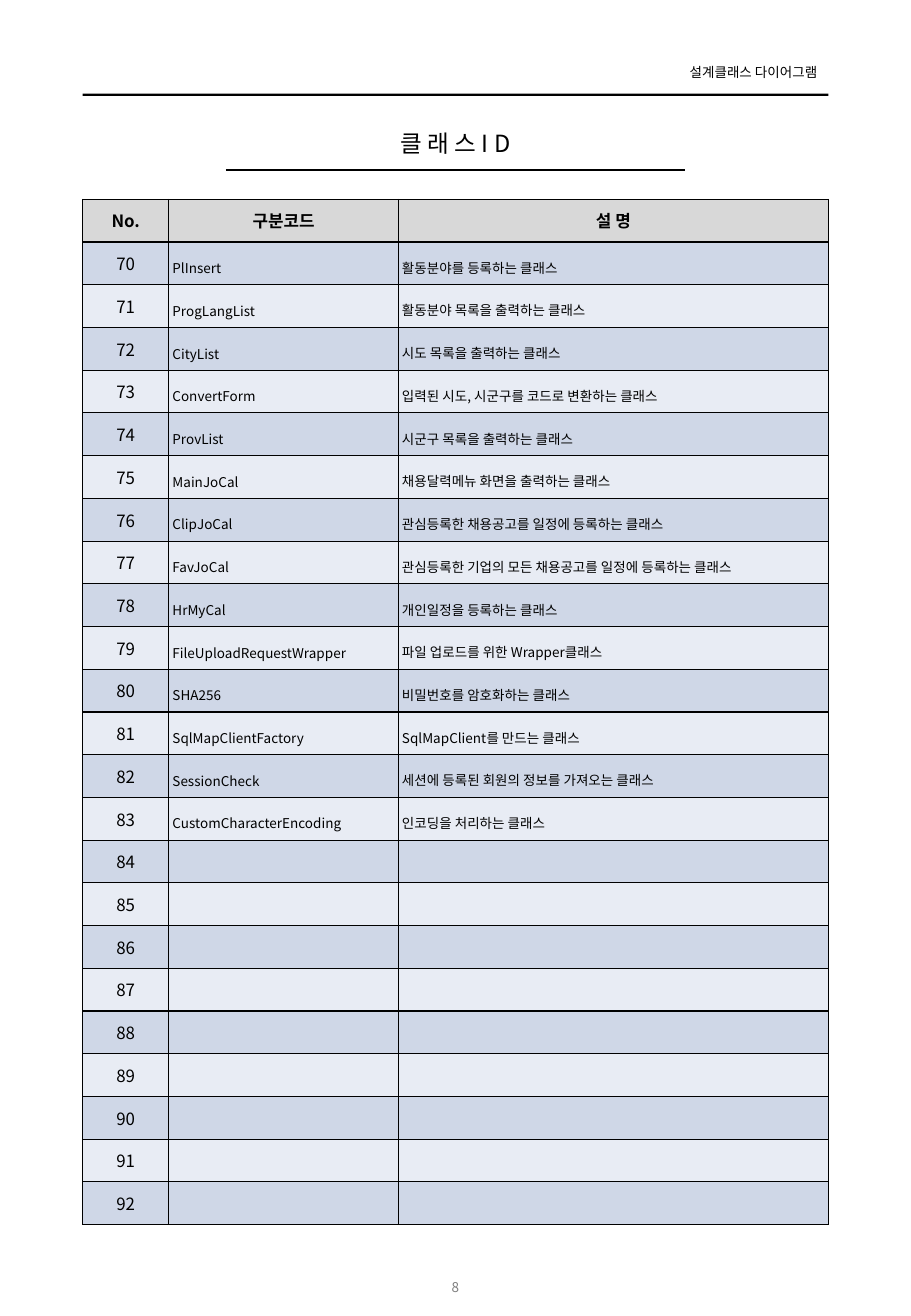
from lxml import etree
from pptx import Presentation
from pptx import util as u
from pptx.dml.color import RGBColor
from pptx.enum import shapes, text
from pptx.oxml import ns

FONT = "Noto Sans CJK KR"
BLACK = RGBColor(0x00, 0x00, 0x00)
WHITE = RGBColor(0xFF, 0xFF, 0xFF)
GRAY = RGBColor(0x7F, 0x7F, 0x7F)
HEADER_FILL = RGBColor(0xD8, 0xD8, 0xD8)
BAND_FILLS = (RGBColor(0xCF, 0xD7, 0xE7), RGBColor(0xE8, 0xEC, 0xF4))

PAGE_WIDTH, PAGE_HEIGHT = 7.5, 10.83
MARGIN = 0.68
COLUMNS = (0.71, 1.89, 3.54)
CONTENT_WIDTH = sum(COLUMNS)
TABLE_TOP, TABLE_HEIGHT = 1.64, 8.44
FIRST_NUMBER, LAST_NUMBER = 70, 92
LABEL_INSETS = (0.1, 0.05, 0.1, 0.05)
ENTRY_INSETS = (0.03, 0.1, 0.03, 0.06)

HEADINGS = ("No.", "구분코드", "설 명")
CLASSES = (
    ("PlInsert", "활동분야를 등록하는 클래스"),
    ("ProgLangList", "활동분야 목록을 출력하는 클래스"),
    ("CityList", "시도 목록을 출력하는 클래스"),
    ("ConvertForm", "입력된 시도, 시군구를 코드로 변환하는 클래스"),
    ("ProvList", "시군구 목록을 출력하는 클래스"),
    ("MainJoCal", "채용달력메뉴 화면을 출력하는 클래스"),
    ("ClipJoCal", "관심등록한 채용공고를 일정에 등록하는 클래스"),
    ("FavJoCal", "관심등록한 기업의 모든 채용공고를 일정에 등록하는 클래스"),
    ("HrMyCal", "개인일정을 등록하는 클래스"),
    ("FileUploadRequestWrapper", "파일 업로드를 위한 Wrapper클래스"),
    ("SHA256", "비밀번호를 암호화하는 클래스"),
    ("SqlMapClientFactory", "SqlMapClient를 만드는 클래스"),
    ("SessionCheck", "세션에 등록된 회원의 정보를 가져오는 클래스"),
    ("CustomCharacterEncoding", "인코딩을 처리하는 클래스"),
)


def add_span(para, words, size, color=BLACK, bold=False):
    span = para.add_run()
    span.text = words
    span.font.size = u.Pt(size)
    span.font.bold = bold
    span.font.color.rgb = color
    span.font.name = FONT
    east_asian = etree.SubElement(span.font._element, ns.qn("a:ea"))
    east_asian.set("typeface", FONT)


def set_insets(holder, insets):
    left, top, right, bottom = (u.Inches(inset) for inset in insets)
    holder.margin_left, holder.margin_top = left, top
    holder.margin_right, holder.margin_bottom = right, bottom


def add_text(page, left, top, width, height, words, size, align,
             insets=LABEL_INSETS, anchor=text.MSO_ANCHOR.TOP, color=BLACK):
    box = page.shapes.add_textbox(*map(u.Inches, (left, top, width, height)))
    frame = box.text_frame
    frame.word_wrap = True
    frame.vertical_anchor = anchor
    set_insets(frame, insets)
    para = frame.paragraphs[0]
    para.alignment = align
    add_span(para, words, size, color)


def add_bar(page, left, top, width, height):
    bar = page.shapes.add_shape(
        shapes.MSO_SHAPE.RECTANGLE, *map(u.Inches, (left, top, width, height)))
    bar.shadow.inherit = False
    bar.fill.solid()
    bar.fill.fore_color.rgb = BLACK
    bar.line.fill.background()


def add_rule(page, left, right, level):
    rule = page.shapes.add_connector(
        shapes.MSO_CONNECTOR.STRAIGHT, *map(u.Inches, (left, level, right, level)))
    rule.line.color.rgb = BLACK
    rule.line.width = u.Pt(1)
    etree.SubElement(rule._element.spPr, ns.qn("a:effectLst"))


def style_cell(cell, fill):
    properties = cell._tc.get_or_add_tcPr()
    for side in ("lnL", "lnR", "lnT", "lnB"):
        border = etree.SubElement(properties, ns.qn(f"a:{side}"), w=str(u.Pt(0.75)))
        solid = etree.SubElement(border, ns.qn("a:solidFill"))
        etree.SubElement(solid, ns.qn("a:srgbClr"), val=str(BLACK))
    cell.fill.solid()
    cell.fill.fore_color.rgb = fill


def fill_label(cell, words, bold=False):
    set_insets(cell, LABEL_INSETS)
    cell.vertical_anchor = text.MSO_ANCHOR.MIDDLE
    para = cell.text_frame.paragraphs[0]
    para.alignment = text.PP_ALIGN.CENTER
    add_span(para, words, 10, bold=bold)


def fill_entry(cell, words, anchor):
    para = cell.text_frame.paragraphs[0]
    if not words:
        etree.SubElement(para._p, ns.qn("a:endParaRPr"), sz="800")
        return
    set_insets(cell, ENTRY_INSETS)
    cell.vertical_anchor = anchor
    para.line_spacing = 1.15
    add_span(para, words, 8)


def add_class_table(page):
    numbers = range(FIRST_NUMBER, LAST_NUMBER + 1)
    row_count = len(numbers) + 1
    table = page.shapes.add_table(
        row_count, len(COLUMNS),
        *map(u.Inches, (MARGIN, TABLE_TOP, CONTENT_WIDTH, TABLE_HEIGHT))).table
    table.first_row = table.horz_banding = False
    for column, width in zip(table.columns, COLUMNS):
        column.width = u.Inches(width)
    for row in table.rows:
        row.height = u.Inches(TABLE_HEIGHT / row_count)
    for cell, heading in zip(table.rows[0].cells, HEADINGS):
        style_cell(cell, HEADER_FILL)
        fill_label(cell, heading, bold=True)
    for index, number in enumerate(numbers):
        number_cell, code_cell, description_cell = table.rows[index + 1].cells
        for cell in (number_cell, code_cell, description_cell):
            style_cell(cell, BAND_FILLS[index % 2])
        code, description = CLASSES[index] if index < len(CLASSES) else ("", "")
        fill_label(number_cell, str(number))
        fill_entry(code_cell, code, text.MSO_ANCHOR.BOTTOM)
        fill_entry(description_cell, description, text.MSO_ANCHOR.MIDDLE)


def main():
    deck = Presentation()
    deck.slide_width, deck.slide_height = u.Inches(PAGE_WIDTH), u.Inches(PAGE_HEIGHT)
    page = deck.slides.add_slide(deck.slide_layouts[6])
    page.background.fill.solid()
    page.background.fill.fore_color.rgb = WHITE
    center = text.PP_ALIGN.CENTER
    add_bar(page, MARGIN, 0.77, CONTENT_WIDTH, 0.02)
    add_text(page, 5.47, 0.48, 1.34, 0.24, "설계클래스 다이어그램", 8,
             text.PP_ALIGN.RIGHT, (0.1, 0.05, 0.08, 0.05))
    add_rule(page, 1.86, 5.64, 1.4)
    add_text(page, MARGIN, 1.01, CONTENT_WIDTH, 0.34, "클 래 스 I D", 14,
             center, (0, 0.05, 0, 0.05))
    add_text(page, 3.28, 10.39, 0.94, 0.4, "8", 8, center,
             anchor=text.MSO_ANCHOR.MIDDLE, color=GRAY)
    add_class_table(page)
    deck.save("out.pptx")


main()
